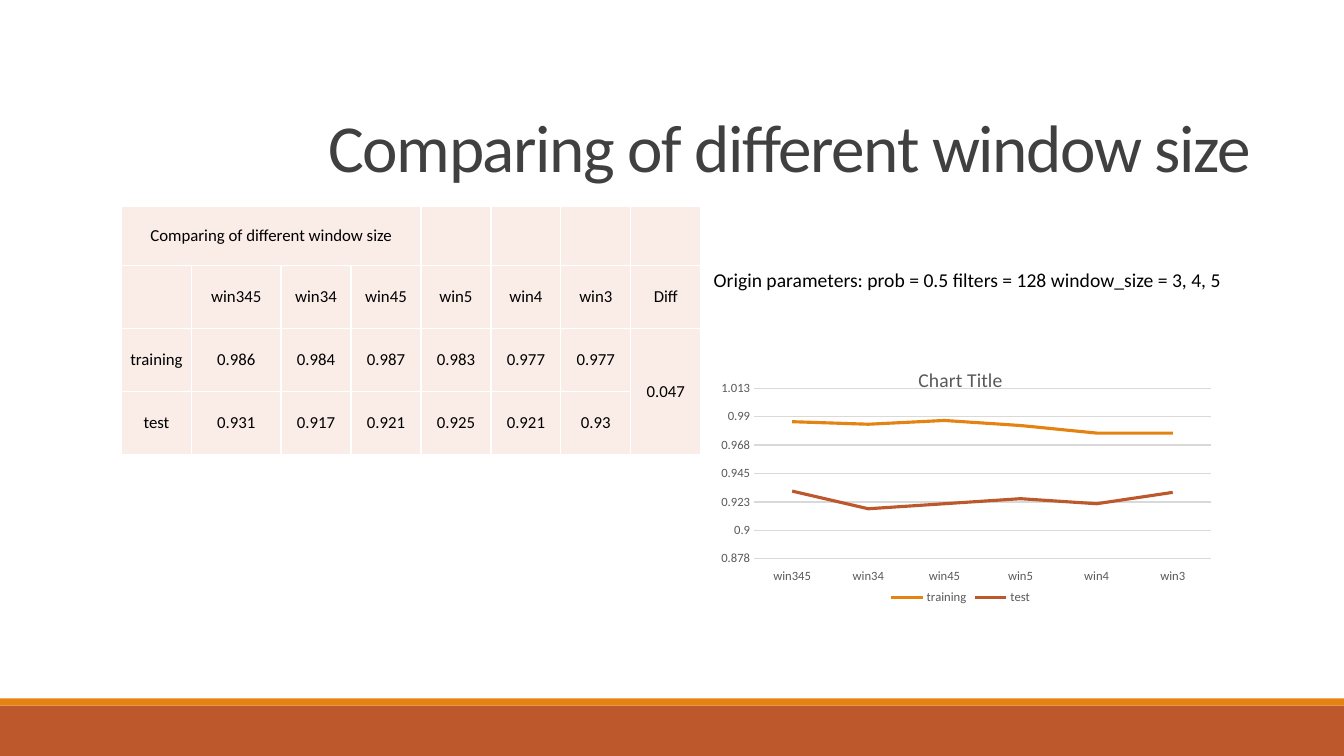
import pptx
import pptx.chart.data
import pptx.dml.color
import pptx.enum.chart
import pptx.enum.shapes
import pptx.enum.text
import pptx.oxml
import pptx.util

Pt = pptx.util.Pt

COLORS = {
    "orange": "E48312", "rust": "BD582C", "cell": "FAECE6", "title": "404040",
    "label": "595959", "grid": "D9D9D9", "text": "000000",
}
HEADING = "Comparing of different window size"
WINDOWS = ["win345", "win34", "win45", "win5", "win4", "win3"]
ACCURACY = {
    "training": [0.986, 0.984, 0.987, 0.983, 0.977, 0.977],
    "test": [0.931, 0.917, 0.921, 0.925, 0.921, 0.93],
}
DIFFERENCE = "0.047"
PLOT_AREA = {"x": 0.092, "y": 0.142, "w": 0.903, "h": 0.663}


def rgb(name):
    """Return the named colour."""
    return pptx.dml.color.RGBColor.from_string(COLORS[name])


def set_font(font, size, color):
    """Apply the slide's typeface with a size and a colour."""
    font.name = "Calibri"
    font.size = Pt(size)
    font.bold = False
    font.color.rgb = rgb(color)


def set_margins(holder, margin):
    """Give a text frame or a cell equal margins."""
    holder.margin_left = holder.margin_right = Pt(margin)
    holder.margin_top = holder.margin_bottom = Pt(margin)


def add_bar(slide, top, height, color):
    """Add a band across the full slide width."""
    shape = slide.shapes.add_shape(
        pptx.enum.shapes.MSO_SHAPE.RECTANGLE, 0, Pt(top), Pt(960), Pt(height))
    shape.shadow.inherit = False
    shape.fill.solid()
    shape.fill.fore_color.rgb = rgb(color)
    shape.line.fill.background()


def set_title(slide):
    """Place and format the title placeholder."""
    title = slide.shapes.title
    title.left, title.top, title.width, title.height = Pt(168), Pt(22.3), Pt(792), Pt(114.5)
    frame = title.text_frame
    frame.text = HEADING
    frame.word_wrap = True
    frame.auto_size = pptx.enum.text.MSO_AUTO_SIZE.NONE
    frame.vertical_anchor = pptx.enum.text.MSO_ANCHOR.BOTTOM
    set_margins(frame, 3.6)
    paragraph = frame.paragraphs[0]
    paragraph.alignment = pptx.enum.text.PP_ALIGN.CENTER
    paragraph.line_spacing = 0.85
    set_font(paragraph.font, 48, "title")
    paragraph.runs[0].font._element.set("spc", "-100")


def fill_cell(cell, text):
    """Write one centred table cell."""
    cell.text = text
    cell.fill.solid()
    cell.fill.fore_color.rgb = rgb("cell")
    cell.vertical_anchor = pptx.enum.text.MSO_ANCHOR.MIDDLE
    set_margins(cell, 0.72)
    paragraph = cell.text_frame.paragraphs[0]
    paragraph.alignment = pptx.enum.text.PP_ALIGN.CENTER
    set_font(paragraph.font, 12, "text")


def add_accuracy_table(slide):
    """Add the table of accuracy by window size."""
    rows = [[HEADING] + [""] * 7, ["", *WINDOWS, "Diff"]]
    rows += [[name, *map(str, values), ""] for name, values in ACCURACY.items()]
    rows[2][-1] = DIFFERENCE
    widths = [50, 64] + [50] * 6
    heights = [42, 45, 45, 45]
    table = slide.shapes.add_table(
        len(rows), len(widths), Pt(86.8), Pt(147.7), Pt(sum(widths)), Pt(sum(heights))).table
    table.first_row = table.horz_banding = False
    for column, width in zip(table.columns, widths):
        column.width = Pt(width)
    for row, height, texts in zip(table.rows, heights, rows):
        row.height = Pt(height)
        for cell, text in zip(row.cells, texts):
            fill_cell(cell, text)
    table.cell(0, 0).merge(table.cell(0, 3))
    table.cell(2, 7).merge(table.cell(3, 7))


def set_plot_area(chart):
    """Fix the inner plot area as fractions of the chart."""
    plot_area = chart._chartSpace.chart.plotArea
    for layout in plot_area.findall(pptx.oxml.ns.qn("c:layout")):
        plot_area.remove(layout)
    modes = "".join(f'<c:{key}Mode val="edge"/>' for key in "xy")
    values = "".join(f'<c:{key} val="{value}"/>' for key, value in PLOT_AREA.items())
    plot_area.insert(0, pptx.oxml.parse_xml(
        f'<c:layout {pptx.oxml.ns.nsdecls("c")}><c:manualLayout>'
        f'<c:layoutTarget val="inner"/>{modes}{values}</c:manualLayout></c:layout>'))


def format_axes(chart):
    """Format the category and value axes."""
    for axis in (chart.category_axis, chart.value_axis):
        axis.major_tick_mark = axis.minor_tick_mark = pptx.enum.chart.XL_TICK_MARK.NONE
        set_font(axis.tick_labels.font, 9, "label")
    chart.category_axis.tick_label_position = pptx.enum.chart.XL_TICK_LABEL_POSITION.LOW
    value_axis = chart.value_axis
    value_axis.minimum_scale, value_axis.maximum_scale = 0.8775, 1.0125
    value_axis.major_unit = 0.0225
    value_axis.tick_labels.number_format = "0.###"
    value_axis.tick_labels.number_format_is_linked = False
    value_axis.format.line.fill.background()
    for line in (chart.category_axis.format.line, value_axis.major_gridlines.format.line):
        line.color.rgb = rgb("grid")
        line.width = Pt(1)


def add_accuracy_chart(slide):
    """Add the line chart of training and test accuracy."""
    data = pptx.chart.data.CategoryChartData()
    data.categories = WINDOWS
    for name, values in ACCURACY.items():
        data.add_series(name, values)
    chart = slide.shapes.add_chart(
        pptx.enum.chart.XL_CHART_TYPE.LINE, Pt(505.4), Pt(251.3), Pt(361.4), Pt(183.6), data).chart
    set_font(chart.font, 10, "text")
    chart.has_title = True
    title_frame = chart.chart_title.text_frame
    title_frame.text = "Chart Title"
    set_font(title_frame.paragraphs[0].font, 14, "label")
    chart.has_legend = True
    chart.legend.position = pptx.enum.chart.XL_LEGEND_POSITION.BOTTOM
    chart.legend.include_in_layout = True
    set_font(chart.legend.font, 9, "label")
    chart.plots[0].vary_by_categories = False
    for series, color in zip(chart.plots[0].series, ("orange", "rust")):
        series.smooth = False
        series.marker.style = pptx.enum.chart.XL_MARKER_STYLE.NONE
        series.format.line.color.rgb = rgb(color)
        series.format.line.width = Pt(2.25)
    format_axes(chart)
    set_plot_area(chart)


def add_parameters(slide):
    """Add the line of original parameters."""
    frame = slide.shapes.add_textbox(Pt(506.2), Pt(188), Pt(456.5), Pt(23)).text_frame
    frame.word_wrap = True
    frame.auto_size = pptx.enum.text.MSO_AUTO_SIZE.SHAPE_TO_FIT_TEXT
    set_margins(frame, 3.6)
    frame.text = "Origin parameters: prob = 0.5 filters = 128 window_size = 3, 4, 5"
    set_font(frame.paragraphs[0].font, 14, "text")


def main():
    """Build and save the slide."""
    presentation = pptx.Presentation()
    presentation.slide_width, presentation.slide_height = Pt(960), Pt(540)
    slide = presentation.slides.add_slide(presentation.slide_layouts[5])
    add_bar(slide, 504, 36, "rust")
    add_bar(slide, 498.8, 5.2, "orange")
    set_title(slide)
    add_accuracy_table(slide)
    add_accuracy_chart(slide)
    add_parameters(slide)
    presentation.save("out.pptx")


if __name__ == "__main__":
    main()
